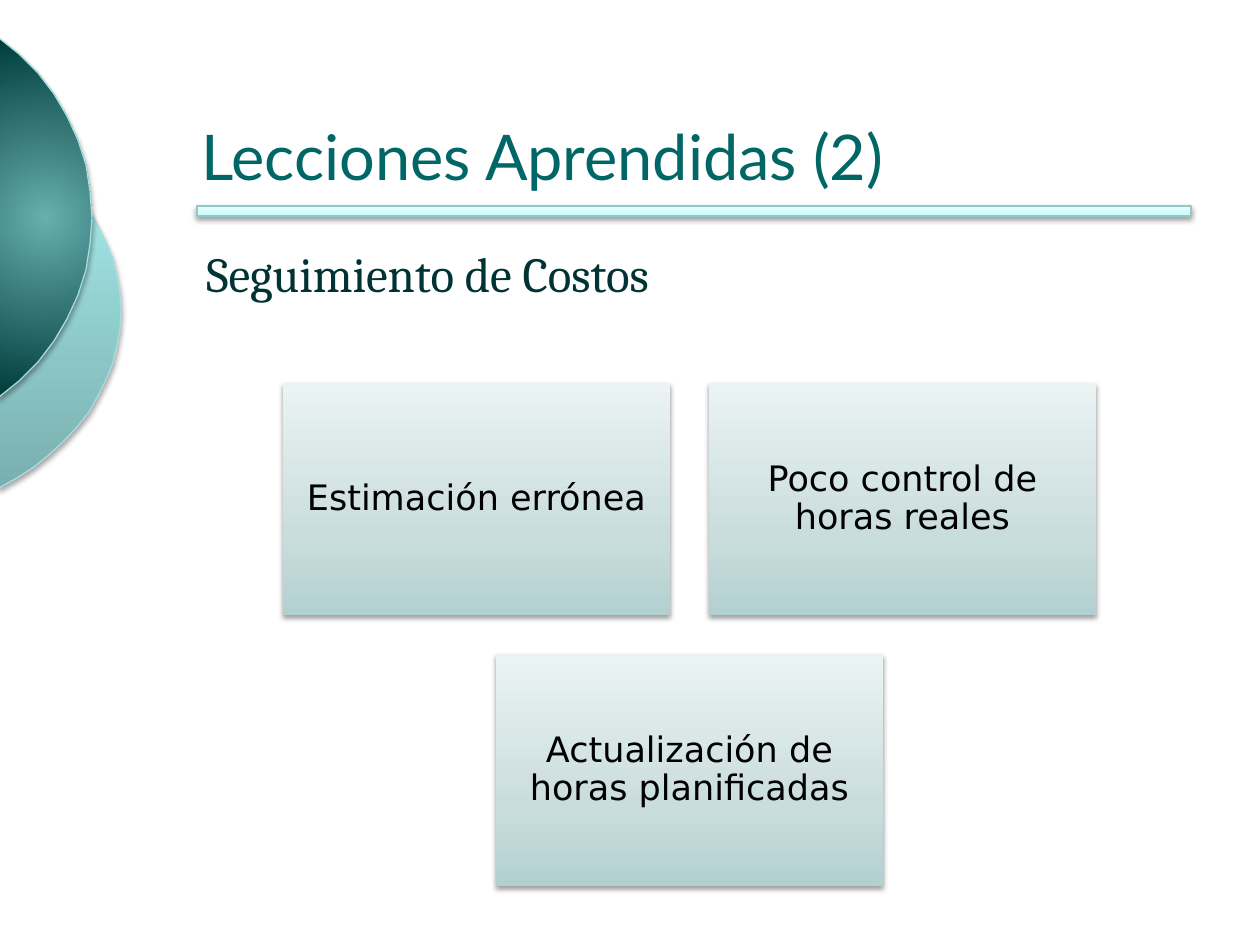
import math

import pptx
import pptx.enum.shapes
import pptx.enum.text
import pptx.oxml
import pptx.oxml.ns
import pptx.util

PX = 914400 / 126
COLORS = {
    "title": "006666",
    "lead": "003333",
    "text": "000000",
    "rim": "A8DEDE",
    "edge": "94C9C9",
    "shade": "000000",
}
# Gradient stops: percent and colour
GRADS = {
    "pale": [(0, "7BAFAF"), (80, "A0E3E3"), (100, "9FE5E5")],
    "dark": [(0, "67AEAE"), (100, "003C3C")],
    "rule": [(0, "C1FBFB"), (35, "D3FBFB"), (100, "EDFFFF")],
    "card": [(0, "B3D0D0"), (35, "CADDDD"), (100, "EBF3F3")],
}
UP = '<a:lin ang="16200000" scaled="0"/>'
ROUND = ('<a:path path="circle"><a:fillToRect l="50000" t="50000" '
         'r="50000" b="50000"/></a:path>')


def emu(*sizes):
    return [pptx.util.Emu(round(size * PX)) for size in sizes]


def color(name):
    return pptx.dml.color.RGBColor.from_string(COLORS[name])


def xml(tag, body):
    space = pptx.oxml.ns.nsdecls("a")
    return pptx.oxml.parse_xml(f"<a:{tag} {space}>{body}</a:{tag}>")


def paint(shape, grad, line=None, way=UP, alpha=38, dist=1.6):
    """Give a shape its gradient, outline and soft shadow."""
    shape.fill.background()
    if line:
        shape.line.color.rgb = color(line)
        shape.line.width = pptx.util.Pt(0.75)
    else:
        shape.line.fill.background()
    stops = "".join(
        f'<a:gs pos="{pos * 1000}"><a:srgbClr val="{tone}"/></a:gs>'
        for pos, tone in GRADS[grad])
    props = shape._element.spPr
    blank = props.find(pptx.oxml.ns.qn("a:noFill"))
    props.replace(blank, xml("gradFill", f"<a:gsLst>{stops}</a:gsLst>{way}"))
    shape.shadow.inherit = False
    effect = props.find(pptx.oxml.ns.qn("a:effectLst"))
    shade = (f'<a:outerShdw blurRad="{round(3.1 * 12700)}" '
             f'dist="{round(dist * 12700)}" dir="5400000" rotWithShape="0">'
             f'<a:srgbClr val="{COLORS["shade"]}">'
             f'<a:alpha val="{alpha * 1000}"/></a:srgbClr></a:outerShdw>')
    props.replace(effect, xml("effectLst", shade))


def write(shape, text, size, face, tone):
    frame = shape.text_frame
    frame.word_wrap = True
    para = frame.paragraphs[0]
    para.text = text
    para.font.size = pptx.util.Pt(size)
    para.font.name = face
    para.font.color.rgb = color(tone)
    return frame, para


def add_rect(slide, box):
    kind = pptx.enum.shapes.MSO_SHAPE.RECTANGLE
    return slide.shapes.add_shape(kind, *emu(*box))


def add_dome(slide, box, radius, steps, grad, way):
    """Draw the part of an ellipse that reaches in from the left edge."""
    left, top, width, height = box
    turn = math.acos(1 - width / radius)
    tall = height / 2 / math.sin(turn)
    points = []
    for step in range(steps + 1):
        angle = turn * (2 * step / steps - 1)
        points.append((left + width - radius * (1 - math.cos(angle)),
                       top + height / 2 + tall * math.sin(angle)))
    build = slide.shapes.build_freeform(*points[0], scale=PX)
    build.add_line_segments(points[1:], close=True)
    paint(build.convert_to_shape(), grad, "rim", way, 35, 1.8)


def add_side(slide):
    add_dome(slide, (-1, 134, 122, 354), 265, 24, "pale", UP)
    add_dome(slide, (-1, 38, 93, 359), 219, 16, "dark", ROUND)


def add_head(slide, box):
    left, top, width, height = box
    # Title
    title = slide.shapes.title
    title.left, title.top, title.width, title.height = emu(*box)
    frame, para = write(title, "Lecciones Aprendidas (2)", 36, "Lato", "title")
    frame.auto_size = pptx.enum.text.MSO_AUTO_SIZE.NONE
    frame.vertical_anchor = pptx.enum.text.MSO_ANCHOR.BOTTOM
    para.alignment = pptx.enum.text.PP_ALIGN.LEFT
    # Rule below the title
    rule = add_rect(slide, (left + 8, top + height + 7, width - 14, 10))
    paint(rule, "rule", "edge")
    # Lead line
    lead = slide.shapes.add_textbox(
        *emu(left + 5, top + height + 38, 804, 72))
    write(lead, "Seguimiento de Costos", 28, "Cambria", "lead")


def add_card(slide, box, text):
    card = add_rect(slide, box)
    paint(card, "card")
    frame, para = write(card, text, 20, "DejaVu Sans", "text")
    frame.margin_left, frame.margin_right = emu(10, 10)
    frame.margin_top, frame.margin_bottom = emu(10, 10)
    frame.vertical_anchor = pptx.enum.text.MSO_ANCHOR.MIDDLE
    para.alignment = pptx.enum.text.PP_ALIGN.CENTER
    para.line_spacing = 0.9


def add_cards(slide, box, rows, gap=39):
    """Lay out rows of equal cards, each row centred in the box."""
    left, top, width, height = box
    most = max(len(row) for row in rows)
    wide = (width - gap * (most - 1)) / most
    tall = (height - gap * (len(rows) - 1)) / len(rows)
    for line, row in enumerate(rows):
        start = left + (most - len(row)) * (wide + gap) / 2
        for col, text in enumerate(row):
            place = (start + col * (wide + gap), top + line * (tall + gap),
                     wide, tall)
            add_card(slide, place, text)


def main():
    deck = pptx.Presentation()
    deck.slide_width, deck.slide_height = emu(1260, 945)
    slide = deck.slides.add_slide(deck.slide_layouts[5])
    add_side(slide)
    add_head(slide, (189, 42, 1008, 157))
    add_cards(slide, (283, 383, 813, 503), [
        ["Estimación errónea", "Poco control de horas reales"],
        ["Actualización de horas planificadas"],
    ])
    deck.save("out.pptx")


if __name__ == "__main__":
    main()
